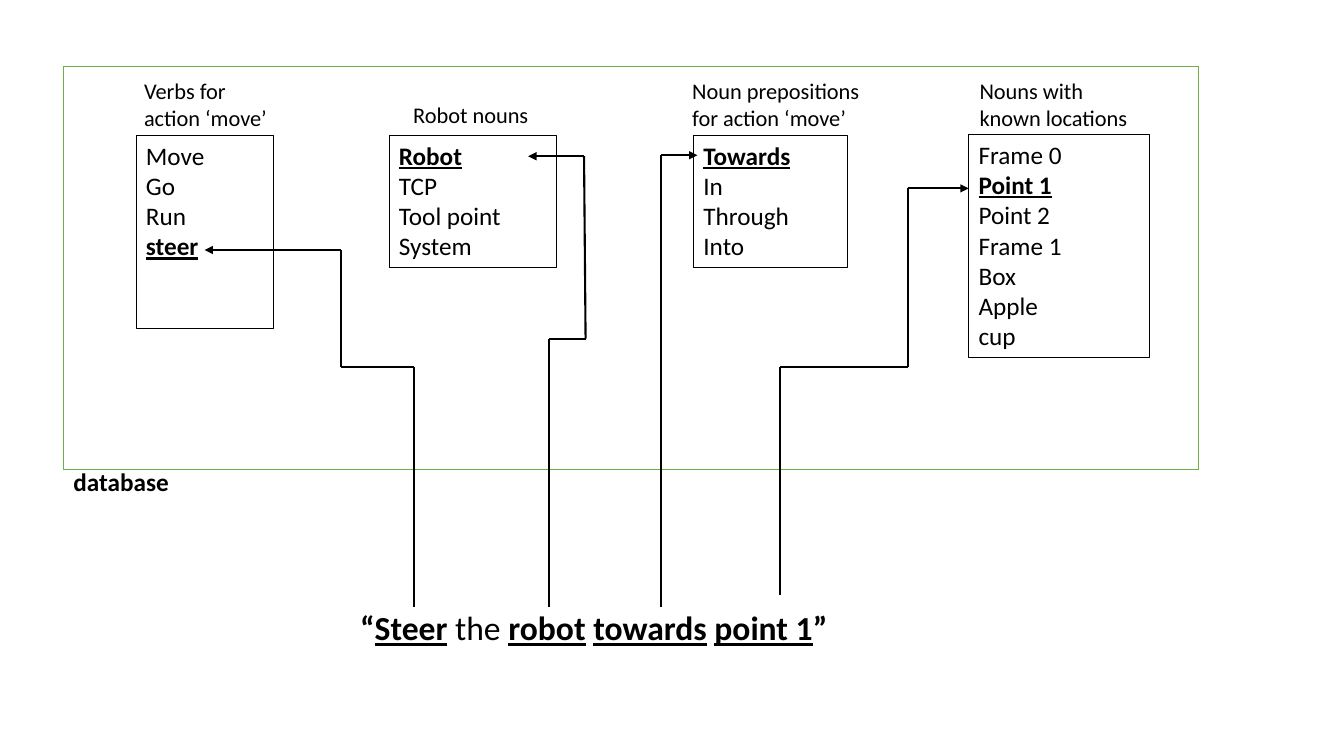
from itertools import pairwise

from lxml.etree import SubElement
from pptx import Presentation
from pptx.dml.color import RGBColor
from pptx.enum.shapes import MSO_CONNECTOR, MSO_SHAPE
from pptx.enum.text import MSO_ANCHOR, PP_ALIGN
from pptx.oxml.ns import qn
from pptx.util import Pt

COLORS = {"ink": "000000", "paper": "FFFFFF", "database": "70AD47"}
FONT = "Calibri"

# Label lines, label place, words, matched word, box place
WORD_LISTS = [
    (["Verbs for", "action ‘move’"], (95.8, 51.8, 179.3, 46.1),
     ["Move", "Go", "Run", "steer"], "steer", (97.2, 96.5, 97.9, 138.2)),
    (["Robot nouns"], (288, 68.4, 116.6, 26.6),
     ["Robot", "TCP", "Tool point", "System"], "Robot",
     (277.9, 96.5, 119.5, 94.3)),
    (["Noun prepositions for action ‘move’"], (487.4, 51.8, 149, 46.1),
     ["Towards", "In", "Through", "Into"], "Towards",
     (495.4, 96.5, 110.2, 94.3)),
    (["Nouns with", "known locations"], (692.6, 51.8, 248.4, 46.1),
     ["Frame 0", "Point 1", "Point 2", "Frame 1", "Box", "Apple", "cup"],
     "Point 1", (691.9, 95.8, 128.9, 159.8)),
]

# Corners from each spoken word up to its match
ROUTES = [
    [(295.9, 433.4), (295.9, 262.1), (243.4, 262.1), (243.4, 178.6),
     (146.2, 178.6)],
    [(392.4, 433.4), (392.4, 241.9), (418.3, 241.9), (417.2, 111.6),
     (377.3, 111.6)],
    [(472.3, 433.4), (472.3, 110.9), (498.2, 110.9)],
    [(557.3, 424.8), (557.3, 262.1), (648.7, 262.1), (648.7, 134.6),
     (691.9, 134.6)],
]

# Text, bold, underlined
COMMAND = [
    ("“", True, False), ("Steer", True, True), (" the ", False, False),
    ("robot", True, True), (" ", False, False), ("towards", True, True),
    (" ", False, False), ("point 1", True, True), ("”", True, False),
]


def color(name):
    return RGBColor.from_string(COLORS[name])


def style_run(run, size, bold=False, underline=False):
    run.font.name = FONT
    run.font.size = Pt(size)
    run.font.bold = bold
    run.font.underline = underline
    run.font.color.rgb = color("ink")


def add_text(slide, place, lines, size, bold=False, match=None):
    """Add one paragraph per line; the matching line is bold and underlined."""
    box = slide.shapes.add_textbox(*map(Pt, place))
    frame = box.text_frame
    frame.word_wrap = True
    frame.text = "\n".join(lines)
    for paragraph in frame.paragraphs:
        is_match = paragraph.text == match
        for run in paragraph.runs:
            style_run(run, size, bold or is_match, is_match)
    return box


def add_word_list(slide, label, label_place, words, match, place):
    add_text(slide, label_place, label, 16)
    box = add_text(slide, place, words, 18, match=match)
    box.line.color.rgb = color("ink")
    box.line.width = Pt(0.75)


def add_database(slide):
    database = slide.shapes.add_shape(
        MSO_SHAPE.RECTANGLE, Pt(45.4), Pt(47.5), Pt(810.7), Pt(288))
    database.shadow.inherit = False
    database.fill.solid()
    database.fill.fore_color.rgb = color("paper")
    database.line.color.rgb = color("database")
    database.line.width = Pt(1)
    add_text(slide, (45.4, 329.8, 501.8, 28.8), ["database"], 18, bold=True)


def add_route(slide, corners):
    """Join the corners with lines and put an arrowhead on the last one."""
    for start, end in pairwise(corners):
        segment = slide.shapes.add_connector(
            MSO_CONNECTOR.STRAIGHT, *map(Pt, start + end))
        segment.line.color.rgb = color("ink")
        segment.line.width = Pt(1.5)
        SubElement(segment._element.spPr, qn("a:effectLst"))
    SubElement(segment.line._get_or_add_ln(), qn("a:tailEnd"), type="triangle")


def write_command(placeholder):
    placeholder.left, placeholder.top = Pt(64.1), Pt(433.4)
    placeholder.width, placeholder.height = Pt(720), Pt(61.9)
    frame = placeholder.text_frame
    frame.vertical_anchor = MSO_ANCHOR.TOP
    paragraph = frame.paragraphs[0]
    paragraph.alignment = PP_ALIGN.CENTER
    paragraph.line_spacing = 0.9
    paragraph.space_before = Pt(0)
    for text, bold, underline in COMMAND:
        run = paragraph.add_run()
        run.text = text
        style_run(run, 24, bold, underline)


def main():
    deck = Presentation()
    deck.slide_width, deck.slide_height = Pt(960), Pt(540)
    slide = deck.slides.add_slide(deck.slide_layouts.get_by_name("Title Slide"))
    title = slide.shapes.title._element
    title.getparent().remove(title)

    add_database(slide)
    write_command(slide.placeholders[1])
    for word_list in WORD_LISTS:
        add_word_list(slide, *word_list)
    for corners in ROUTES:
        add_route(slide, corners)
    deck.save("out.pptx")


if __name__ == "__main__":
    main()
